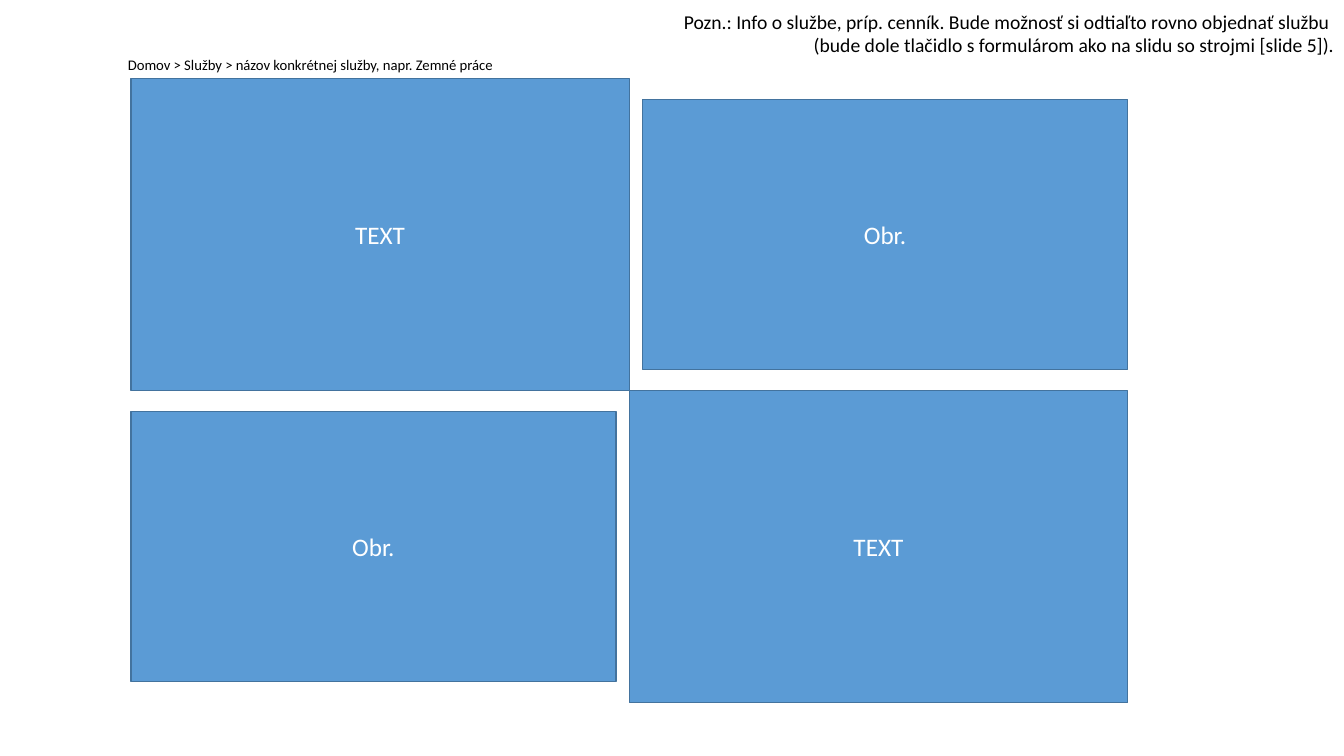
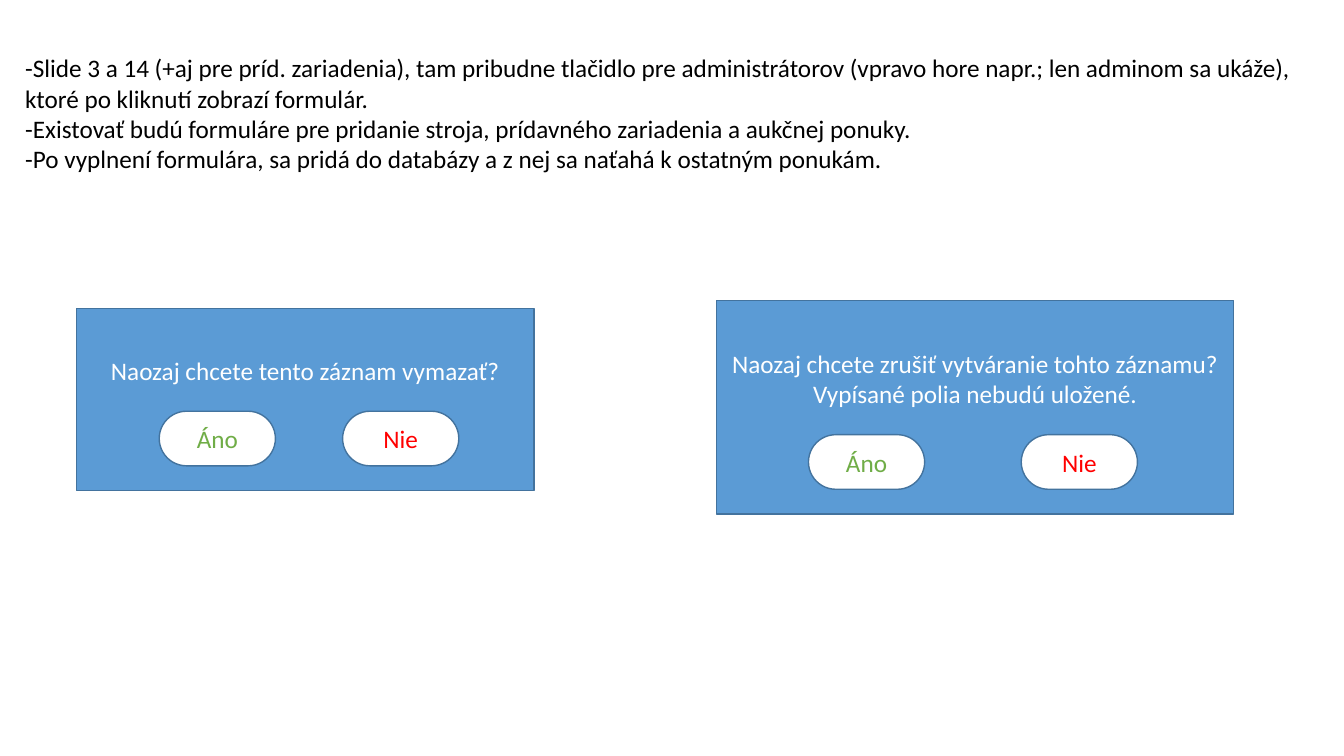
from lxml import etree
from pptx import Presentation
from pptx.dml.color import RGBColor
from pptx.enum.shapes import MSO_SHAPE
from pptx.enum.text import MSO_ANCHOR, MSO_AUTO_SIZE, PP_ALIGN
from pptx.oxml.ns import qn
from pptx.util import Pt

RECTANGLE, PILL = MSO_SHAPE.RECTANGLE, MSO_SHAPE.ROUNDED_RECTANGLE
LEFT, CENTER, RIGHT = PP_ALIGN.LEFT, PP_ALIGN.CENTER, PP_ALIGN.RIGHT
TOP, MIDDLE = MSO_ANCHOR.TOP, MSO_ANCHOR.MIDDLE
NO_AUTOFIT = MSO_AUTO_SIZE.NONE

FONT = "Calibri"
BLUE, OUTLINE, WHITE, BLACK = "5B9BD5", "43739E", "FFFFFF", "000000"
GREEN, RED = "70AD47", "FF0000"

BREADCRUMB = "Domov > Služby > názov konkrétnej služby, napr. Zemné práce"
SERVICE_NOTE = [
    "Pozn.: Info o službe, príp. cenník. Bude možnosť si odtiaľto rovno objednať službu ",
    "(bude dole tlačidlo s formulárom ako na slidu so strojmi [slide 5]).",
]
PANEL_ROWS = [["TEXT", "Obr."], ["Obr.", "TEXT"]]
FORM_NOTES = [
    "-Slide 3 a 14 (+aj pre príd. zariadenia), tam pribudne tlačidlo pre administrátorov "
    "(vpravo hore napr.; len adminom sa ukáže), ktoré po kliknutí zobrazí formulár.",
    "-Existovať budú formuláre pre pridanie stroja, prídavného zariadenia a aukčnej ponuky.",
    "-Po vyplnení formulára, sa pridá do databázy a z nej sa naťahá k ostatným ponukám.",
]
BUTTONS = [("Áno", GREEN), ("Nie", RED)]
DIALOGS = [
    {"question": "Naozaj chcete tento záznam vymazať?",
     "box": (54.5, 220.5, 327, 130), "button_lefts": (113.75, 244.75)},
    {"question": "Naozaj chcete zrušiť vytváranie tohto záznamu? Vypísané polia nebudú uložené.",
     "box": (511.75, 214.5, 369.5, 152.75), "button_lefts": (577.5, 729.5)},
]

GRID_LEFT, GRID_TOP = 93.5, 56
CELL_WIDTH, CELL_HEIGHT = 356, 223
IMAGE_WIDTH, IMAGE_HEIGHT = 346.5, 193
BUTTON_WIDTH, BUTTON_HEIGHT, BUTTON_GAP = 83, 39, 17.75
QUESTION_BOTTOM_INSET = 45


def color(value):
    return RGBColor.from_string(value)


def write(shape, lines, size, text_color, alignment, anchor=TOP):
    frame = shape.text_frame
    frame.text = "\n".join(lines)
    frame.auto_size = NO_AUTOFIT
    frame.vertical_anchor = anchor
    for paragraph in frame.paragraphs:
        paragraph.alignment = alignment
        paragraph.space_before = Pt(0)
        for run in paragraph.runs:
            run.font.name = FONT
            run.font.size = Pt(size)
            run.font.color.rgb = color(text_color)


def add_box(slide, kind, box, text, fill=BLUE, text_color=WHITE):
    shape = slide.shapes.add_shape(kind, *map(Pt, box))
    shape.shadow.inherit = False
    shape.fill.solid()
    shape.fill.fore_color.rgb = color(fill)
    shape.line.color.rgb = color(OUTLINE)
    shape.line.width = Pt(1)
    write(shape, [text], 18, text_color, CENTER, MIDDLE)
    return shape


def add_text(slide, box, lines, size, alignment, wrap=True):
    shape = slide.shapes.add_textbox(*map(Pt, box))
    shape.text_frame.word_wrap = wrap
    write(shape, lines, size, BLACK, alignment)


def add_panel(slide, row, column, label):
    left = GRID_LEFT + column * CELL_WIDTH
    top = GRID_TOP + row * CELL_HEIGHT
    width, height = CELL_WIDTH, CELL_HEIGHT
    if label == "Obr.":
        left += column * (CELL_WIDTH - IMAGE_WIDTH)
        top += (CELL_HEIGHT - IMAGE_HEIGHT) / 2
        width, height = IMAGE_WIDTH, IMAGE_HEIGHT
    add_box(slide, RECTANGLE, (left, top, width, height), label)


def add_dialog(slide, dialog):
    left, top, width, height = dialog["box"]
    panel = add_box(slide, RECTANGLE, dialog["box"], dialog["question"])
    panel.text_frame.margin_bottom = Pt(QUESTION_BOTTOM_INSET)
    button_top = top + height - BUTTON_GAP - BUTTON_HEIGHT
    for (label, label_color), button_left in zip(BUTTONS, dialog["button_lefts"]):
        box = (button_left, button_top, BUTTON_WIDTH, BUTTON_HEIGHT)
        button = add_box(slide, PILL, box, label, WHITE, label_color)
        button.adjustments[0] = 0.5


def fill_body(slide, box, lines):
    body = slide.placeholders[1]
    body.left, body.top, body.width, body.height = map(Pt, box)
    write(body, lines, 18, BLACK, LEFT)
    for paragraph in body.text_frame.paragraphs:
        properties = paragraph._p.get_or_add_pPr()
        properties.set("marL", "0")
        properties.set("indent", "0")
        etree.SubElement(properties, qn("a:buNone"))


def build_service_slide(presentation):
    slide = presentation.slides.add_slide(presentation.slide_layouts[6])
    for row, labels in enumerate(PANEL_ROWS):
        for column, label in enumerate(labels):
            add_panel(slide, row, column, label)
    add_text(slide, (84.25, 36, 282.25, 20), [BREADCRUMB], 10.5, LEFT, wrap=False)
    add_text(slide, (415.5, 3.5, 545, 41), SERVICE_NOTE, 14, RIGHT)


def build_form_slide(presentation):
    slide = presentation.slides.add_slide(presentation.slide_layouts[1])
    title = slide.shapes.title.element
    title.getparent().remove(title)
    fill_body(slide, (10.75, 34, 924.5, 94.5), FORM_NOTES)
    for dialog in DIALOGS:
        add_dialog(slide, dialog)


def main():
    """Build the service page and record form wireframes."""
    presentation = Presentation()
    presentation.slide_width, presentation.slide_height = Pt(960), Pt(540)
    build_service_slide(presentation)
    build_form_slide(presentation)
    presentation.save("out.pptx")


if __name__ == "__main__":
    main()
